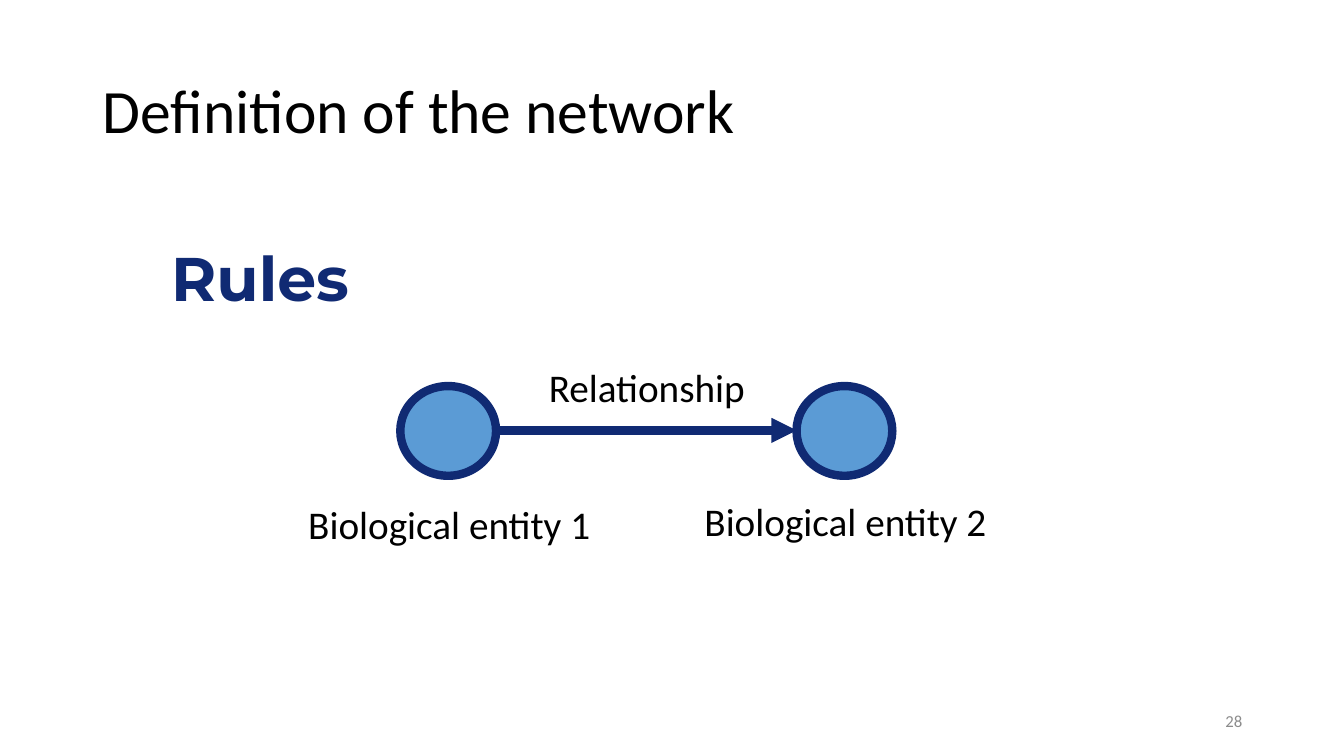
from lxml.etree import SubElement
from pptx import Presentation
from pptx.dml.color import RGBColor
from pptx.enum.shapes import MSO_CONNECTOR, MSO_SHAPE
from pptx.enum.text import MSO_ANCHOR, PP_ALIGN
from pptx.oxml.ns import qn
from pptx.util import Pt

PX = 9144  # 100 px to the inch
HUES = {"ink": "000000", "navy": "102A73", "blue": "5B9BD5", "grey": "8C8C8C"}

# Text formats
HEAD = {"size": Pt(44), "name": "Calibri"}
RULE = {"size": Pt(44), "name": "Montserrat", "bold": True}
LABEL = {"size": Pt(28), "name": "Calibri"}
PAGE = {"size": Pt(12), "name": "Calibri"}


class Board:
    def __init__(self, wide, high):
        self.deck = Presentation()
        self.deck.slide_width, self.deck.slide_height = wide * PX, high * PX
        self.slide = self.deck.slides.add_slide(self.deck.slide_layouts[6])

    def hue(self, name):
        return RGBColor.from_string(HUES[name])

    def edge(self, item):
        item.line.color.rgb = self.hue("navy")
        item.line.width = Pt(6)

    def text(self, words, box, font, hue="ink", wrap=True,
             anchor=MSO_ANCHOR.TOP, **para):
        frame = self.slide.shapes.add_textbox(*(n * PX for n in box)).text_frame
        frame.word_wrap = wrap
        frame.vertical_anchor = anchor
        line = frame.paragraphs[0]
        line.text = words
        for key, value in para.items():
            setattr(line, key, value)
        for key, value in font.items():
            setattr(line.runs[0].font, key, value)
        line.runs[0].font.color.rgb = self.hue(hue)

    def label(self, words, box):
        self.text(words, box, LABEL, wrap=False, alignment=PP_ALIGN.CENTER)

    def node(self, box):
        oval = self.slide.shapes.add_shape(MSO_SHAPE.OVAL, *(n * PX for n in box))
        oval.shadow.inherit = False
        oval.fill.solid()
        oval.fill.fore_color.rgb = self.hue("blue")
        self.edge(oval)

    def arrow(self, *ends):
        link = self.slide.shapes.add_connector(MSO_CONNECTOR.STRAIGHT,
                                               *(n * PX for n in ends))
        self.edge(link)
        props = link._element.spPr
        SubElement(props.find(qn("a:ln")), qn("a:tailEnd"), type="triangle")
        SubElement(props, qn("a:effectLst"))


def main():
    board = Board(1333, 750)

    # Title, page number and heading
    board.text("Definition of the network", (92, 40, 1150, 145), HEAD,
               anchor=MSO_ANCHOR.MIDDLE, line_spacing=0.9)
    board.text("28", (942, 695, 300, 40), PAGE, "grey",
               anchor=MSO_ANCHOR.MIDDLE, alignment=PP_ALIGN.RIGHT)
    board.text("Rules", (160, 241, 444, 86), RULE, "navy", line_spacing=0.9)

    # Two entities with their labels
    for num, (left, top) in enumerate([(397, 491), (790, 488)], 1):
        board.node((left, 383, 95, 89))
        board.label(f"Biological entity {num}", (left - 103, top, 303, 57))

    # Relationship between them
    board.arrow(492, 427, 790, 427)
    board.label("Relationship", (533, 356, 217, 57))

    board.deck.save("out.pptx")


if __name__ == "__main__":
    main()
